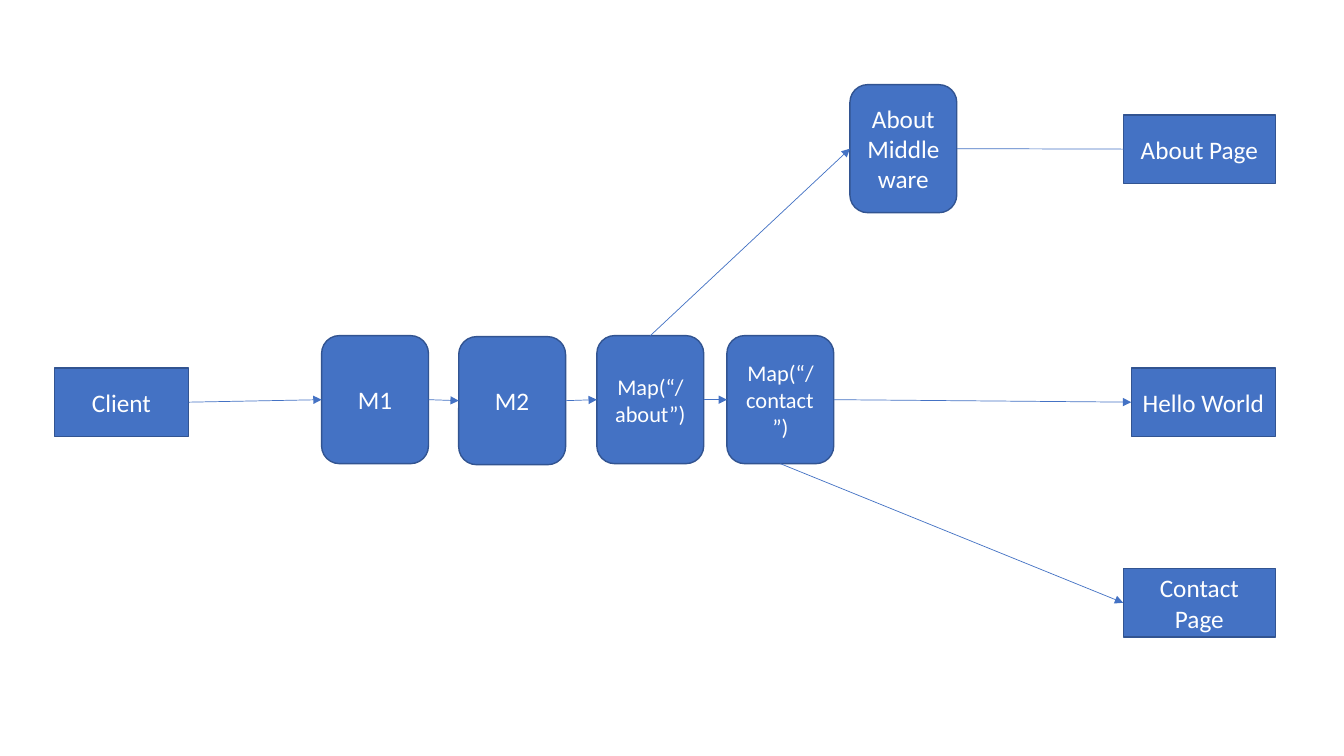
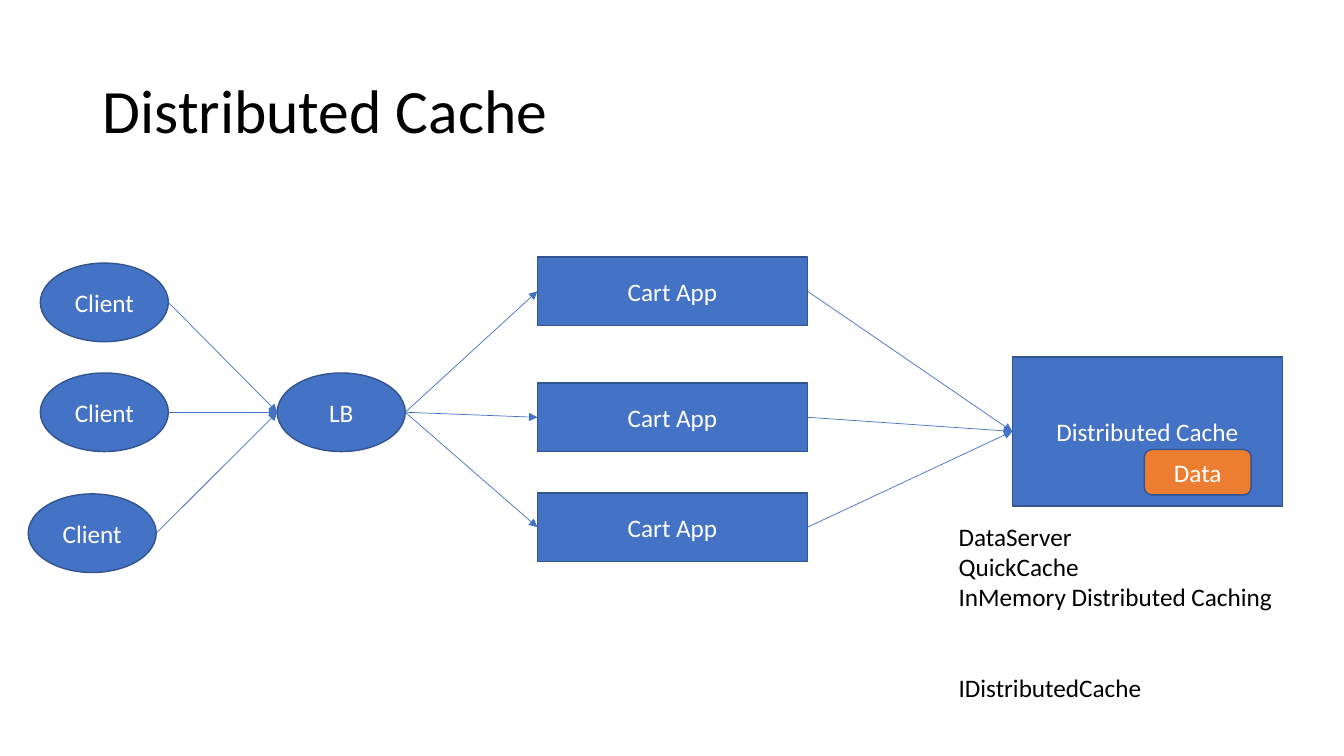
"""Build two diagrams: a middleware pipeline and a distributed cache."""
from dataclasses import dataclass

import pptx
import pptx.dml.color
import pptx.enum.shapes
import pptx.enum.text
import pptx.oxml
import pptx.oxml.ns
import pptx.util

Inches = pptx.util.Inches
Pt = pptx.util.Pt
Kind = pptx.enum.shapes.MSO_SHAPE
Align = pptx.enum.text.PP_ALIGN
Anchor = pptx.enum.text.MSO_ANCHOR


@dataclass(frozen=True)
class Theme:
    font: str = "Calibri"
    blue: str = "4472C4"
    edge: str = "325491"
    orange: str = "ED7D31"
    white: str = "FFFFFF"
    black: str = "000000"
    title: int = 44
    body: int = 18
    small: int = 16
    rim: float = 1
    wire: float = 0.5


THEME = Theme()
SIDES = {"top": (0.5, 0), "left": (0, 0.5), "bottom": (0.5, 1), "right": (1, 0.5)}


def rgb(code):
    return pptx.dml.color.RGBColor.from_string(code)


def write(frame, text, size=THEME.body, color=THEME.black, align=Align.LEFT,
          anchor=Anchor.TOP, leading=None, gaps=None):
    frame.word_wrap = True
    frame.vertical_anchor = anchor
    for row, line in enumerate(text.split("\n")):
        para = frame.add_paragraph() if row else frame.paragraphs[0]
        para.alignment = align
        para.line_spacing = leading
        if gaps and row in gaps:
            para.space_before = Pt(gaps[row])
        run = para.add_run()
        run.text = line
        run.font.name = THEME.font
        run.font.size = Pt(size)
        run.font.color.rgb = rgb(color)


def label(slide, text, left, top, width, height, **style):
    box = slide.shapes.add_textbox(*map(Inches, (left, top, width, height)))
    write(box.text_frame, text, **style)


def node(slide, text, left, top, width, height, kind=Kind.RECTANGLE,
         fill=THEME.blue, size=THEME.body):
    shape = slide.shapes.add_shape(kind, *map(Inches, (left, top, width, height)))
    shape.shadow.inherit = False
    shape.fill.solid()
    shape.fill.fore_color.rgb = rgb(fill)
    shape.line.color.rgb = rgb(THEME.edge)
    shape.line.width = Pt(THEME.rim)
    write(shape.text_frame, text, size=size, color=THEME.white,
          align=Align.CENTER, anchor=Anchor.MIDDLE)
    return shape


def step(slide, text, left, top=3.33, size=THEME.body):
    return node(slide, text, left, top, 1.06, 1.27, Kind.ROUNDED_RECTANGLE, size=size)


def oval(slide, text, left, top):
    return node(slide, text, left, top, 1.27, 0.78, Kind.OVAL)


def spot(shape, side):
    across, down = SIDES[side]
    return (round(shape.left + across * shape.width),
            round(shape.top + down * shape.height))


def arrow(slide, source, target, side="right", inset=0):
    start, (x, y) = spot(source, side), spot(target, "left")
    line = slide.shapes.add_connector(
        pptx.enum.shapes.MSO_CONNECTOR.STRAIGHT, *start, x + Inches(inset), y)
    line.line.color.rgb = rgb(THEME.blue)
    line.line.width = Pt(THEME.wire)
    space = pptx.oxml.ns.nsdecls("a")
    line.line._get_or_add_ln().append(
        pptx.oxml.parse_xml(f'<a:tailEnd {space} type="triangle"/>'))
    line._element.spPr.append(pptx.oxml.parse_xml(f"<a:effectLst {space}/>"))


def routes(slide):
    client = node(slide, "Client", 0.54, 3.65, 1.33, 0.68)
    hello = node(slide, "Hello World", 11.22, 3.65, 1.43, 0.68)
    about, contact = [node(slide, text, 11.14, top, 1.51, 0.68)
                      for text, top in (("About Page", 1.14), ("Contact Page", 5.64))]
    first = step(slide, "M1", 3.19)
    second = step(slide, "M2", 4.55, 3.34)
    fork = step(slide, "Map(“/about”)", 5.92, size=THEME.small)
    last = step(slide, "Map(“/contact”)", 7.21, size=THEME.small)
    branch = step(slide, "About Middleware", 8.43, 0.84)
    chain = [client, first, second, fork, last, hello]
    for source, target in zip(chain, chain[1:]):
        arrow(slide, source, target)
    arrow(slide, fork, branch, "top")
    arrow(slide, branch, about, inset=0.16)
    arrow(slide, last, contact, "bottom")


def cache(slide):
    label(slide, "Distributed Cache", 0.92, 0.4, 11.5, 1.45,
          size=THEME.title, anchor=Anchor.MIDDLE, leading=0.9)
    users = [oval(slide, "Client", left, top)
             for left, top in ((0.4, 2.61), (0.4, 3.7), (0.28, 4.9))]
    hub = oval(slide, "LB", 2.75, 3.7)
    apps = [node(slide, "Cart App", 5.33, top, 2.68, 0.68)
            for top in (2.55, 3.8, 4.89)]
    store = node(slide, "Distributed Cache", 10.04, 3.54, 2.68, 1.48)
    node(slide, "Data", 11.35, 4.46, 1.06, 0.45, Kind.ROUNDED_RECTANGLE, THEME.orange)
    for user in users:
        arrow(slide, user, hub)
    for app in apps:
        arrow(slide, hub, app)
        arrow(slide, app, store)
    label(slide, "DataServer\nQuickCache\nInMemory Distributed Caching\nIDistributedCache",
          9.41, 5.12, 3.47, 1.92, gaps={3: 43.5})


def main():
    deck = pptx.Presentation()
    deck.slide_width, deck.slide_height = Inches(13.33), Inches(7.5)
    for draw in (routes, cache):
        draw(deck.slides.add_slide(deck.slide_layouts[6]))
    deck.save("out.pptx")


main()
